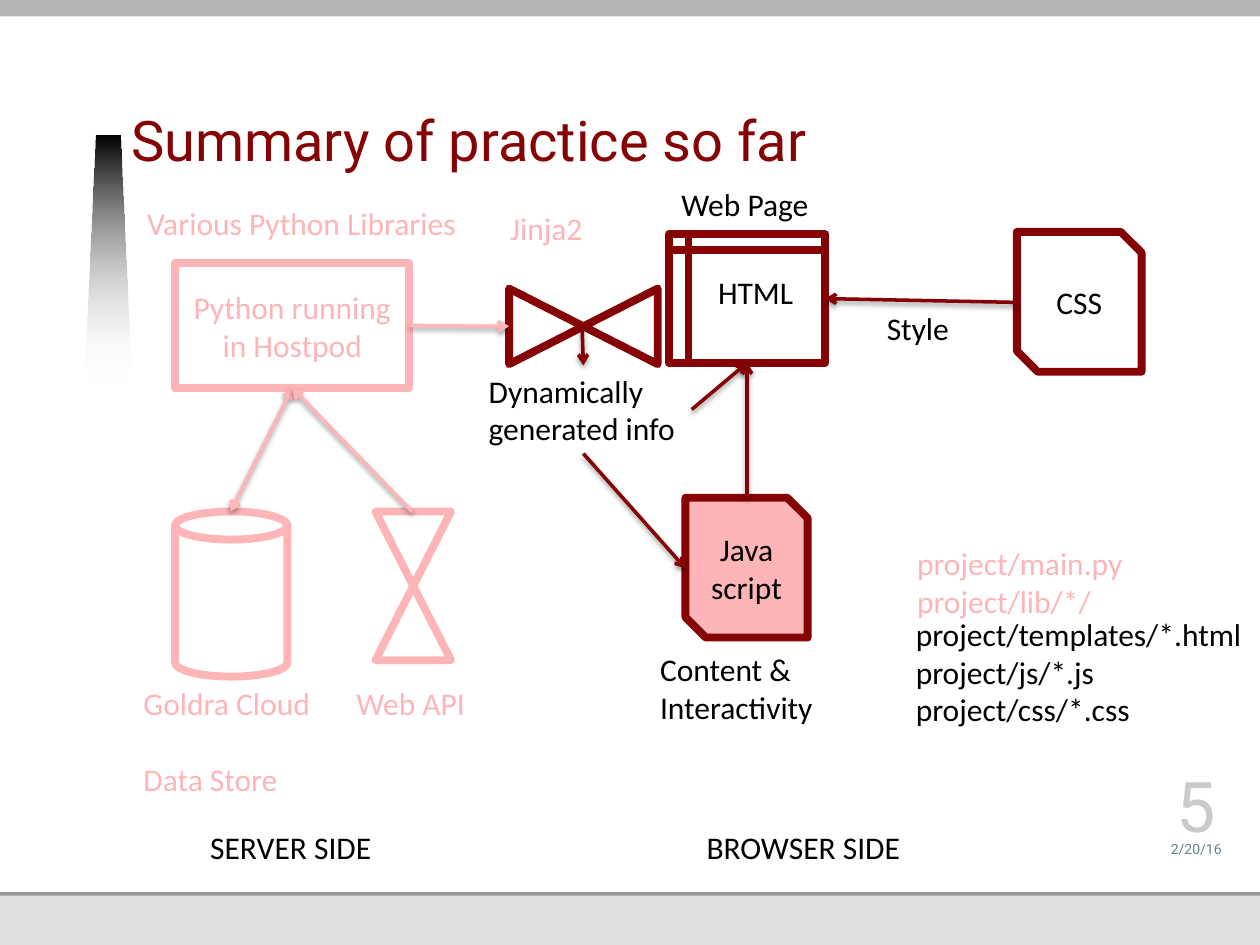
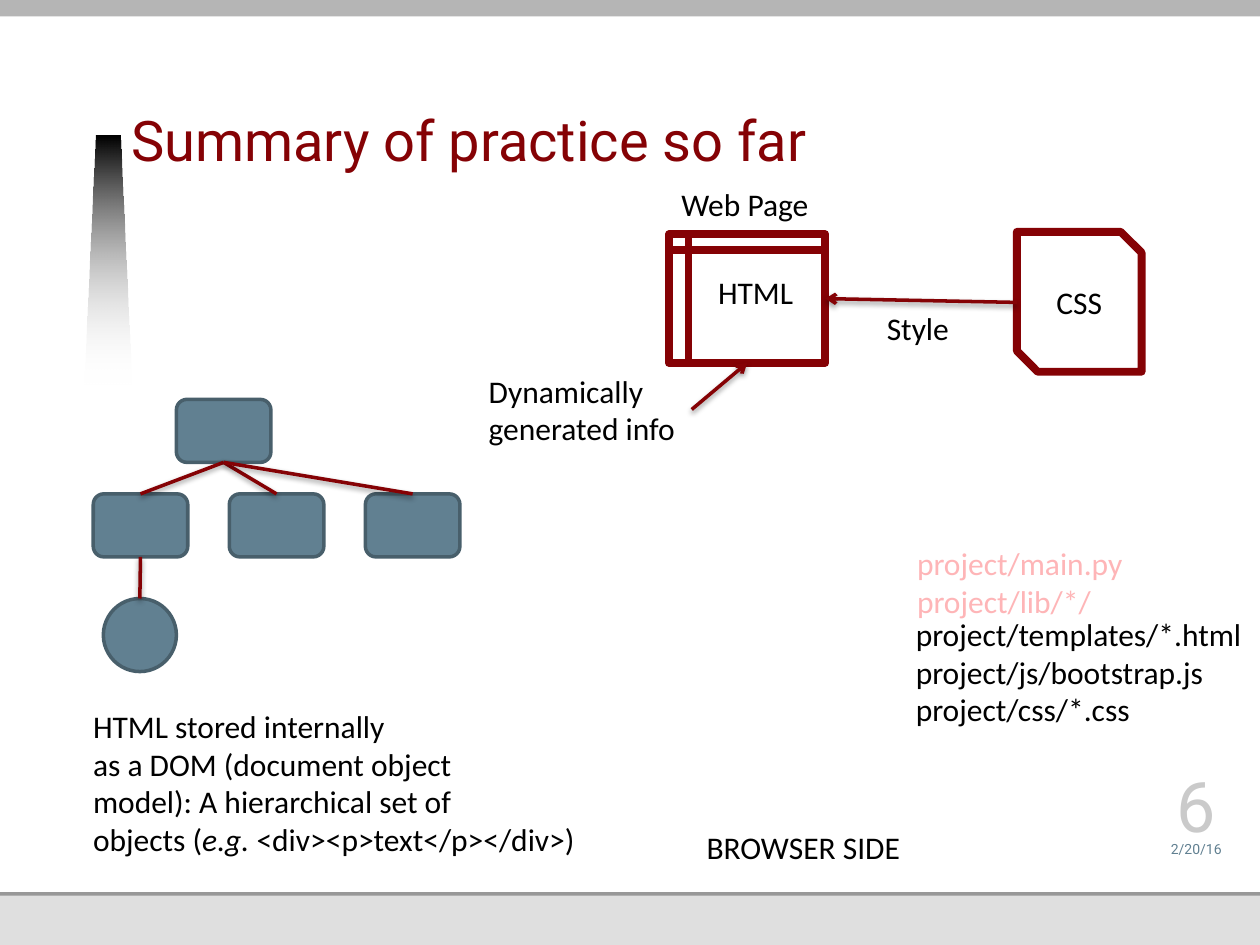
from lxml import etree
from pptx import Presentation
from pptx.dml.color import RGBColor
from pptx.enum.shapes import MSO_CONNECTOR, MSO_SHAPE
from pptx.enum.text import MSO_ANCHOR, MSO_AUTO_SIZE, PP_ALIGN
from pptx.oxml.ns import qn
from pptx.util import Inches, Pt

RECTANGLE = MSO_SHAPE.RECTANGLE
ROUNDED = MSO_SHAPE.ROUNDED_RECTANGLE
ELLIPSE = MSO_SHAPE.OVAL
CAN = MSO_SHAPE.CAN
COLLATE = MSO_SHAPE.FLOWCHART_COLLATE
STORAGE = MSO_SHAPE.FLOWCHART_INTERNAL_STORAGE
SNIPPED = MSO_SHAPE.SNIP_2_DIAG_RECTANGLE
STRAIGHT = MSO_CONNECTOR.STRAIGHT
LEFT, CENTER = PP_ALIGN.LEFT, PP_ALIGN.CENTER
BOTTOM, MIDDLE = MSO_ANCHOR.BOTTOM, MSO_ANCHOR.MIDDLE
FIT_SHAPE = MSO_AUTO_SIZE.SHAPE_TO_FIT_TEXT

MAROON, PINK, BLACK, WHITE = "850205", "FEB5B7", "000000", "FFFFFF"
SLATE, SLATE_EDGE, PALE_GREY = "618091", "485F6B", "CACACA"
BODY_FONT, FRAME_FONT = "Calibri", "Roboto"
TOP, RIGHT_SIDE, BOTTOM_SIDE = 0, 3, 2

TITLE = "Summary of practice so far"
DATE = "2/20/16"
BANDS = [  # left, top, width, height, fill
    (0, 7.08, 10, 0.42, "DFDFDF"),
    (0, 7.08, 10, 0.03, "989898"),
    (0, 0, 10, 0.13, "B5B5B5"),
]
WEDGE = [(0.67, 3.05), (0.76, 1.08), (0.95, 1.08), (1.04, 3.05)]

# Boxes: name -> kind, (left, top, width, height), fill, line, line width, rotation, lines
# Labels: (left, top, width, height), colour, lines, space before each later line
# Links: start, end, colour, arrowheads; an end is a point or (box name, side)
SHARED_BOXES = {
    "html": (STORAGE, (5.31, 1.86, 1.24, 1.02), None, MAROON, 4.5, 0, []),
    "css": (SNIPPED, (8.07, 1.84, 0.99, 1.11), None, MAROON, 4.5, 0, ["CSS"]),
}
SHARED_LABELS = [
    ((3.78, 2.9, 1.71, 0.71), BLACK, ["Dynamically", "generated info"], 0),
    ((5.31, 1.42, 1.24, 0.4), BLACK, ["Web Page"], 0),
    ((5.6, 2.12, 0.81, 0.4), BLACK, ["HTML"], 0),
    ((5.51, 6.52, 1.76, 0.4), BLACK, ["BROWSER SIDE"], 0),
    ((6.94, 2.4, 0.7, 0.4), BLACK, ["Style"], 0),
    ((7.18, 4.27, 1.86, 0.71), PINK, ["project/main.py", "project/lib/*/"], 0),
]
SHARED_LINKS = [
    ((8.07, 2.4), ("html", RIGHT_SIDE), MAROON, "end"),
    ((5.49, 3.25), ("html", BOTTOM_SIDE), MAROON, "end"),
]


def project_files(script):
    lines = ["project/templates/*.html", f"project/js/{script}", "project/css/*.css"]
    return (7.17, 4.83, 2.83, 1.01), BLACK, lines, 0


PIPELINE_BOXES = {
    "server": (RECTANGLE, (1.39, 2.09, 1.86, 0.99), None, PINK, 4.5, 0,
               ["Python running in Hostpod"]),
    "store": (CAN, (1.39, 4.06, 0.89, 1.31), None, PINK, 4.5, 0, []),
    "api": (COLLATE, (2.98, 4.06, 0.6, 1.18), None, PINK, 4.5, 0, []),
    "template": (COLLATE, (4.33, 2, 0.6, 1.18), None, MAROON, 4.5, 270, []),
    "script": (SNIPPED, (5.44, 3.95, 0.97, 1.11), PINK, MAROON, 4.5, 0,
               ["Java", "script"]),
}
PIPELINE_LABELS = [
    ((1.04, 5.38, 1.58, 0.71), PINK, ["Goldra Cloud", "Data Store"], 21.6),
    ((2.73, 5.38, 1.08, 0.4), PINK, ["Web API"], 0),
    ((5.14, 5.11, 1.44, 0.71), BLACK, ["Content &", "Interactivity"], 0),
    ((1.57, 6.52, 1.5, 0.4), BLACK, ["SERVER SIDE"], 0),
    ((3.95, 1.61, 0.78, 0.4), PINK, ["Jinja2"], 0),
    ((1.07, 1.57, 2.7, 0.4), PINK, ["Various Python Libraries"], 0),
    project_files("*.js"),
]
PIPELINE_LINKS = [
    (("server", BOTTOM_SIDE), (1.83, 4.06), PINK, "both"),
    ((3.27, 4.06), ("server", BOTTOM_SIDE), PINK, "end"),
    (("server", RIGHT_SIDE), (4.04, 2.59), PINK, "end"),
    ((4.62, 2.59), (4.63, 2.9), MAROON, "end"),
    ((4.63, 3.6), (5.44, 4.51), MAROON, "end"),
    ((5.93, 3.95), ("html", BOTTOM_SIDE), MAROON, "end"),
]

NODE = (0.75, 0.5)
CHILDREN = ["child 1", "child 2", "child 3"]
DOM_SPOTS = {"root": (1.4, 3.17)}
DOM_SPOTS.update({name: (0.74 + 1.08 * i, 3.92) for i, name in enumerate(CHILDREN)})
DOM_BOXES = {name: (ROUNDED, spot + NODE, SLATE, SLATE_EDGE, 2, 0, [])
             for name, spot in DOM_SPOTS.items()}
DOM_BOXES["leaf"] = (ELLIPSE, (0.82, 4.75, 0.58, 0.58), SLATE, SLATE_EDGE, 2, 0, [])
DOM_LINKS = [(("root", BOTTOM_SIDE), (name, TOP), MAROON, "none") for name in CHILDREN]
DOM_LINKS.append((("child 1", BOTTOM_SIDE), ("leaf", TOP), MAROON, "none"))
DOM_LABELS = [  # text between bars is italic
    ((0.64, 5.56, 4.07, 1.31), BLACK, [
        "HTML stored internally",
        "as a DOM (document object",
        "model): A hierarchical set of",
        "objects (|e.g. |<div><p>text</p></div>)",
    ], 0),
    project_files("bootstrap.js"),
]

SLIDES = [
    (5, PIPELINE_BOXES, PIPELINE_LABELS, PIPELINE_LINKS),
    (6, DOM_BOXES, DOM_LABELS, DOM_LINKS),
]


def rgb(color):
    return RGBColor.from_string(color)


def inches(lengths):
    return [Inches(length) for length in lengths]


def write(frame, lines, font, size, color, align=LEFT, gap=0):
    for index, line in enumerate(lines):
        para = frame.paragraphs[0] if index == 0 else frame.add_paragraph()
        para.alignment = align
        para.font.name, para.font.size = font, Pt(size)
        para.font.color.rgb = rgb(color)
        if index and gap:
            para.space_before = Pt(gap)
        for position, text in enumerate(line.split("|")):
            span = para.add_run()
            span.text = text
            if position % 2:
                span.font.italic = True


def add_box(page, kind, place, fill, line, width, rotation, lines):
    box = page.shapes.add_shape(kind, *inches(place))
    box.shadow.inherit = False
    box.rotation = rotation
    if fill:
        box.fill.solid()
        box.fill.fore_color.rgb = rgb(fill)
    else:
        box.fill.background()
    if line:
        box.line.color.rgb = rgb(line)
        box.line.width = Pt(width)
    else:
        box.line.fill.background()
    if lines:
        box.text_frame.vertical_anchor = MIDDLE
        write(box.text_frame, lines, BODY_FONT, 18, BLACK if line == MAROON else line, CENTER)
    return box


def add_label(page, place, color, lines, gap):
    frame = page.shapes.add_textbox(*inches(place)).text_frame
    frame.word_wrap = False
    frame.auto_size = FIT_SHAPE
    write(frame, lines, BODY_FONT, 18, color, gap=gap)


def add_frame_text(page, place, text, size, color, align=CENTER, inset=0):
    """Bottom-anchored text of the slide frame."""
    frame = page.shapes.add_textbox(*inches(place)).text_frame
    frame.word_wrap = True
    frame.vertical_anchor = BOTTOM
    frame.margin_left = frame.margin_right = frame.margin_top = 0
    frame.margin_bottom = Inches(inset)
    write(frame, [text], FRAME_FONT, size, color, align)
    return frame


def add_soft_shadow(link):
    effects = etree.SubElement(link.element.spPr, qn("a:effectLst"))
    shadow = etree.SubElement(effects, qn("a:outerShdw"), blurRad=str(Pt(3.1)),
                              dist=str(Pt(1.6)), dir="5400000", rotWithShape="0")
    color = etree.SubElement(shadow, qn("a:srgbClr"), val=BLACK)
    etree.SubElement(color, qn("a:alpha"), val="38000")


def add_link(page, boxes, start, end, color, heads):
    points = [(0, 0) if end_point[0] in boxes else end_point for end_point in (start, end)]
    link = page.shapes.add_connector(STRAIGHT, *inches(points[0] + points[1]))
    if start[0] in boxes:
        link.begin_connect(boxes[start[0]], start[1])
    if end[0] in boxes:
        link.end_connect(boxes[end[0]], end[1])
    link.line.color.rgb = rgb(color)
    link.line.width = Pt(2)
    outline = link.line.fill and link.element.spPr.find(qn("a:ln"))
    if heads == "both":
        etree.SubElement(outline, qn("a:headEnd"), type="arrow")
    if heads != "none":
        etree.SubElement(outline, qn("a:tailEnd"), type="arrow")
    add_soft_shadow(link)


def add_wedge(page):
    """Tapered bar beside the title, fading to transparent."""
    corners = [tuple(inches(corner)) for corner in WEDGE]
    builder = page.shapes.build_freeform(*corners[0], scale=1.0)
    builder.add_line_segments(corners[1:], close=True)
    wedge = builder.convert_to_shape()
    wedge.shadow.inherit = False
    wedge.line.fill.background()
    wedge.fill.gradient()
    wedge.fill.gradient_angle = 270
    for stop, color, position in zip(wedge.fill.gradient_stops, (BLACK, WHITE), (0, 1)):
        stop.color.rgb = rgb(color)
        stop.position = position
    last_color = list(wedge.element.spPr.iter(qn("a:srgbClr")))[-1]
    etree.SubElement(last_color, qn("a:alpha"), val="0")


def add_slide_frame(page, number):
    for *place, fill in BANDS:
        add_box(page, RECTANGLE, place, fill, None, 0, 0, [])
    add_wedge(page)
    title = add_frame_text(page, (1.04, 0.34, 6.87, 1.08), TITLE, 32, MAROON, LEFT, 0.05)
    title.paragraphs[0].line_spacing = Pt(34)
    add_frame_text(page, (9.13, 6.58, 0.73, 0.22), DATE, 8, SLATE)
    add_frame_text(page, (9.13, 6.16, 0.73, 0.56), str(number), 40, PALE_GREY)


def main():
    deck = Presentation()
    deck.slide_width, deck.slide_height = Inches(10), Inches(7.5)
    for number, boxes, labels, links in SLIDES:
        page = deck.slides.add_slide(deck.slide_layouts[6])
        add_slide_frame(page, number)
        drawn = {name: add_box(page, *box) for name, box in {**SHARED_BOXES, **boxes}.items()}
        for label in SHARED_LABELS + labels:
            add_label(page, *label)
        for link in SHARED_LINKS + links:
            add_link(page, drawn, *link)
    deck.save("out.pptx")


if __name__ == "__main__":
    main()
